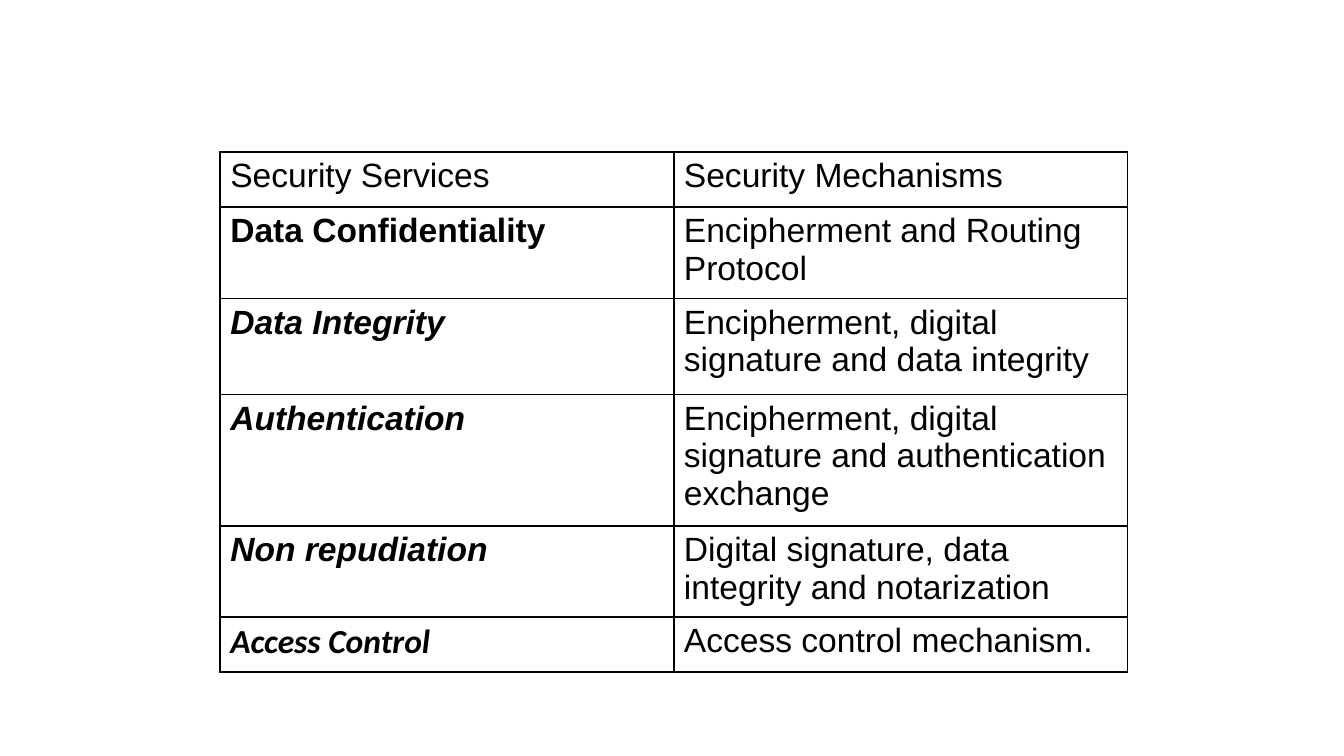
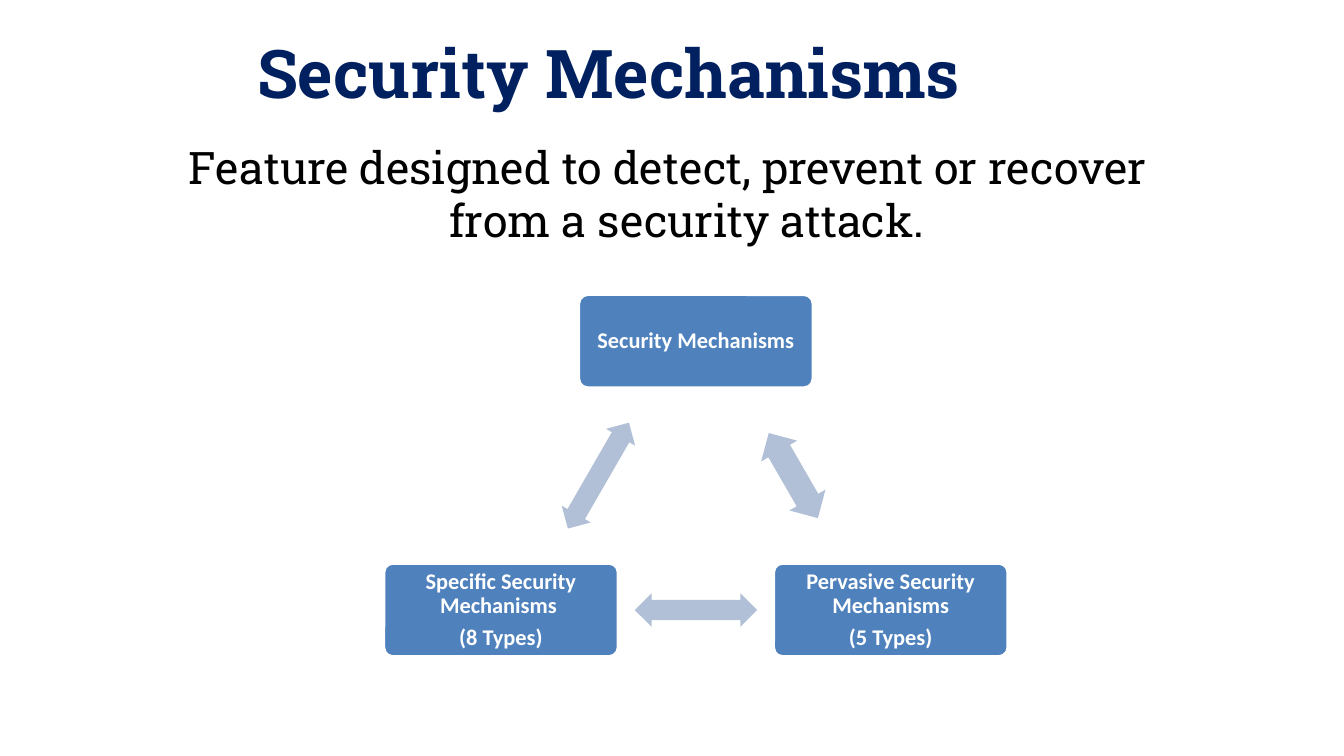
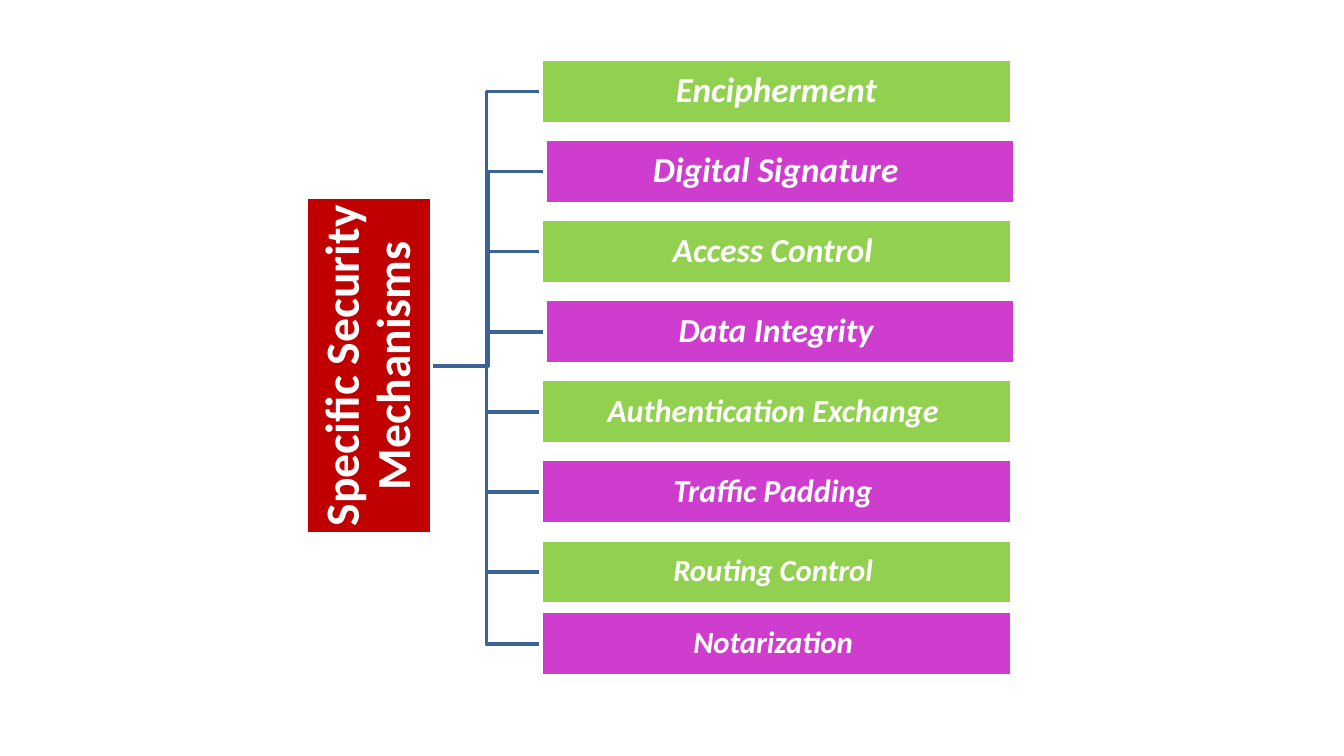
import dataclasses

import lxml.etree
import pptx
import pptx.dml.color
import pptx.enum.shapes
import pptx.enum.text
import pptx.oxml.ns
import pptx.util

Pt = pptx.util.Pt
qn = pptx.oxml.ns.qn
ALIGN = pptx.enum.text.PP_ALIGN
ANCHOR = pptx.enum.text.MSO_ANCHOR
SHAPE = pptx.enum.shapes.MSO_SHAPE


@dataclasses.dataclass(frozen=True)
class Theme:
    black: str = "000000"
    white: str = "FFFFFF"
    navy: str = "002060"
    blue: str = "4F81BD"
    pale_blue: str = "B1C0D7"
    branch_blue: str = "3B6495"
    red: str = "C00000"
    green: str = "92D050"
    magenta: str = "CF3DCF"
    table_font: str = "Arial"
    diagram_font: str = "Calibri"
    heading_font: str = "Roboto Slab"
    title_size: float = 36
    body_size: float = 24
    table_size: float = 18
    node_size: float = 12
    root_size: float = 25.5
    outline: float = 2
    border: float = 1


def rgb(color):
    return pptx.dml.color.RGBColor.from_string(color)


def write_text(frame, text, *, font, size, color, bold=False, italic=False,
               align=None, anchor=None, insets=None, line_spacing=None,
               space_before=0):
    """Fill a text frame, one paragraph per line; space_before skips the first."""
    frame.word_wrap = True
    if anchor is not None:
        frame.vertical_anchor = anchor
    if insets is not None:
        frame.margin_left = frame.margin_right = Pt(insets[0])
        frame.margin_top = frame.margin_bottom = Pt(insets[1])
    for index, line in enumerate(text.split("\n")):
        paragraph = frame.add_paragraph() if index else frame.paragraphs[0]
        paragraph.alignment = align
        paragraph.line_spacing = line_spacing
        if index:
            paragraph.space_before = Pt(space_before)
        run = paragraph.add_run()
        run.text = line
        run.font.name = font
        run.font.size = Pt(size)
        run.font.bold = bold
        run.font.italic = italic
        run.font.color.rgb = rgb(color)


class Deck:
    TITLE_ONLY, BLANK = 5, 6
    TEXT_INSETS = (5.4, 2.7)

    def __init__(self, theme):
        self.theme = theme
        self.presentation = pptx.Presentation()
        self.presentation.slide_width = Pt(720)
        self.presentation.slide_height = Pt(405)
        self.slide = None

    def new_slide(self, layout=BLANK):
        self.slide = self.presentation.slides.add_slide(
            self.presentation.slide_layouts[layout])

    def title(self, text, left, top, width, height):
        title = self.slide.shapes.title
        title.left, title.top = Pt(left), Pt(top)
        title.width, title.height = Pt(width), Pt(height)
        title.text_frame.auto_size = pptx.enum.text.MSO_AUTO_SIZE.NONE
        write_text(title.text_frame, text, font=self.theme.heading_font,
                   size=self.theme.title_size, color=self.theme.navy, bold=True,
                   align=ALIGN.CENTER, anchor=ANCHOR.MIDDLE, insets=self.TEXT_INSETS)

    def body(self, text, left, top, width, height, hanging):
        box = self.slide.shapes.add_textbox(Pt(left), Pt(top), Pt(width), Pt(height))
        write_text(box.text_frame, text, font=self.theme.heading_font,
                   size=self.theme.body_size, color=self.theme.black,
                   align=ALIGN.CENTER, insets=self.TEXT_INSETS)
        properties = box.text_frame.paragraphs[0]._p.get_or_add_pPr()
        properties.set("marL", str(Pt(hanging)))
        properties.set("indent", str(-Pt(hanging)))

    def shape(self, kind, left, top, width, height, fill, *, outline=None,
              rotation=0, adjustments=()):
        shape = self.slide.shapes.add_shape(kind, Pt(left), Pt(top), Pt(width), Pt(height))
        shape.shadow.inherit = False
        shape.rotation = rotation
        shape.fill.solid()
        shape.fill.fore_color.rgb = rgb(fill)
        if outline:
            shape.line.color.rgb = rgb(outline)
            shape.line.width = Pt(self.theme.outline)
        else:
            shape.line.fill.background()
        for index, value in enumerate(adjustments):
            shape.adjustments[index] = value
        return shape

    def node(self, text, kind, left, top, width, height, fill, *, size, inset,
             italic=False, **shape_format):
        """Draw a white-outlined box with a centred label."""
        shape = self.shape(kind, left, top, width, height, fill,
                           outline=self.theme.white, **shape_format)
        write_text(shape.text_frame, text, font=self.theme.diagram_font, size=size,
                   color=self.theme.white, bold=True, italic=italic,
                   align=ALIGN.CENTER, anchor=ANCHOR.MIDDLE, insets=(inset, inset),
                   line_spacing=0.9, space_before=4.2)

    def double_arrow(self, center_x, center_y, length, thickness, rotation=0):
        self.shape(SHAPE.LEFT_RIGHT_ARROW, center_x - length / 2,
                   center_y - thickness / 2, length, thickness,
                   self.theme.pale_blue, rotation=rotation, adjustments=(0.6, 0.5))

    def branch(self, start_x, start_y, end_x, end_y):
        """Draw an elbow line that turns halfway across."""
        middle = (start_x + end_x) / 2
        builder = self.slide.shapes.build_freeform(Pt(start_x), Pt(start_y), scale=1.0)
        builder.add_line_segments(
            [(Pt(x), Pt(y)) for x, y in
             ((middle, start_y), (middle, end_y), (end_x, end_y))], close=False)
        line = builder.convert_to_shape()
        line.shadow.inherit = False
        line.fill.background()
        line.line.color.rgb = rgb(self.theme.branch_blue)
        line.line.width = Pt(self.theme.outline)

    def cell_borders(self, cell):
        properties = cell._tc.get_or_add_tcPr()
        for side in ("lnL", "lnR", "lnT", "lnB"):
            line = lxml.etree.SubElement(properties, qn(f"a:{side}"),
                                         w=str(Pt(self.theme.border)))
            fill = lxml.etree.SubElement(line, qn("a:solidFill"))
            lxml.etree.SubElement(fill, qn("a:srgbClr"), val=self.theme.black)

    def table(self, rows, left, top, column_width, row_heights):
        """Each row is a list of (text, format overrides) cells."""
        columns = len(rows[0])
        table = self.slide.shapes.add_table(
            len(rows), columns, Pt(left), Pt(top),
            Pt(column_width * columns), Pt(sum(row_heights))).table
        table.first_row = table.horz_banding = False
        for column in table.columns:
            column.width = Pt(column_width)
        for row, height, contents in zip(table.rows, row_heights, rows):
            row.height = Pt(height)
            for cell, (text, overrides) in zip(row.cells, contents):
                self.cell_borders(cell)
                cell.fill.background()
                cell.margin_left = cell.margin_right = Pt(5.4)
                cell.margin_top = cell.margin_bottom = Pt(2.7)
                text_format = dict(font=self.theme.table_font, size=self.theme.table_size,
                                   color=self.theme.black) | overrides
                write_text(cell.text_frame, text, **text_format)


def services_slide(deck):
    bold = dict(bold=True)
    bold_italic = dict(bold=True, italic=True)
    services = [
        ("Security Services", {}, "Security Mechanisms"),
        ("Data Confidentiality", bold, "Encipherment and Routing Protocol"),
        ("Data Integrity", bold_italic,
         "Encipherment, digital signature and data integrity"),
        ("Authentication", bold_italic,
         "Encipherment, digital signature and authentication exchange"),
        ("Non repudiation", bold_italic,
         "Digital signature, data integrity and notarization"),
        ("Access Control", bold_italic | dict(font=deck.theme.diagram_font),
         "Access control mechanism."),
    ]
    deck.new_slide()
    deck.table([[(service, style), (mechanism, {})]
                for service, style, mechanism in services],
               left=118, top=81.5, column_width=243,
               row_heights=(29.5, 49, 51.5, 70.5, 48.5, 29.5))


def mechanisms_slide(deck):
    center_x, spread = 372.8, 104.4
    top_y, bottom_y = 182.8, 326.8
    width, height = 126, 50.4
    deck.new_slide(Deck.TITLE_ONLY)
    deck.title("Security Mechanisms", 44.6, 4.3, 563, 67.7)
    deck.body("Feature designed to detect, prevent or recover from a security attack.",
              76.3, 72, 563, 289.4, hanging=20.25)
    for text, x, y in (
            ("Security Mechanisms", center_x, top_y),
            ("Pervasive Security Mechanisms\n(5 Types)", center_x + spread, bottom_y),
            ("Specific Security Mechanisms \n(8 Types)", center_x - spread, bottom_y)):
        deck.node(text, SHAPE.ROUNDED_RECTANGLE, x - width / 2, y - height / 2,
                  width, height, deck.theme.blue, size=deck.theme.node_size,
                  inset=5.4, adjustments=(0.1,))
    middle_y = (top_y + bottom_y) / 2
    deck.double_arrow(center_x + spread / 2, middle_y, 52.6, 22.3, rotation=60)
    deck.double_arrow(center_x, bottom_y, 65.5, 18, rotation=180)
    deck.double_arrow(center_x - spread / 2, middle_y, 65.5, 18, rotation=300)


def specific_slide(deck):
    theme = deck.theme
    left, shifted_left, width, height = 290, 291.8, 252, 34.6
    first_top, pitch, last_top = 31.7, 42.9, 327.6
    root_x, root_y, root_length, root_thickness = 197.7, 195.9, 180.7, 67
    mechanisms = [
        ("Encipherment", 18.8, left),
        ("Digital Signature ", 18.8, shifted_left),
        ("Access Control ", 18, left),
        ("Data Integrity ", 18, shifted_left),
        ("Authentication Exchange ", 17.2, left),
        ("Traffic Padding ", 17.2, left),
        ("Routing Control ", 16.5, left),
        ("Notarization ", 16.5, left),
    ]
    tops = [first_top + pitch * index for index in range(len(mechanisms) - 1)] + [last_top]

    deck.new_slide()
    for (_, _, x), top in reversed(list(zip(mechanisms, tops))):
        deck.branch(root_x + root_thickness / 2, root_y, x, top + height / 2)
    deck.node("Specific Security Mechanisms", SHAPE.RECTANGLE,
              root_x - root_length / 2, root_y - root_thickness / 2,
              root_length, root_thickness, theme.red,
              size=theme.root_size, inset=1.3, rotation=270)
    for index, ((text, size, x), top) in enumerate(zip(mechanisms, tops)):
        deck.node(text, SHAPE.RECTANGLE, x, top, width, height,
                  theme.magenta if index % 2 else theme.green,
                  size=size, inset=0.9, italic=True)


def main():
    deck = Deck(Theme())
    services_slide(deck)
    mechanisms_slide(deck)
    specific_slide(deck)
    deck.presentation.save("out.pptx")


if __name__ == "__main__":
    main()
